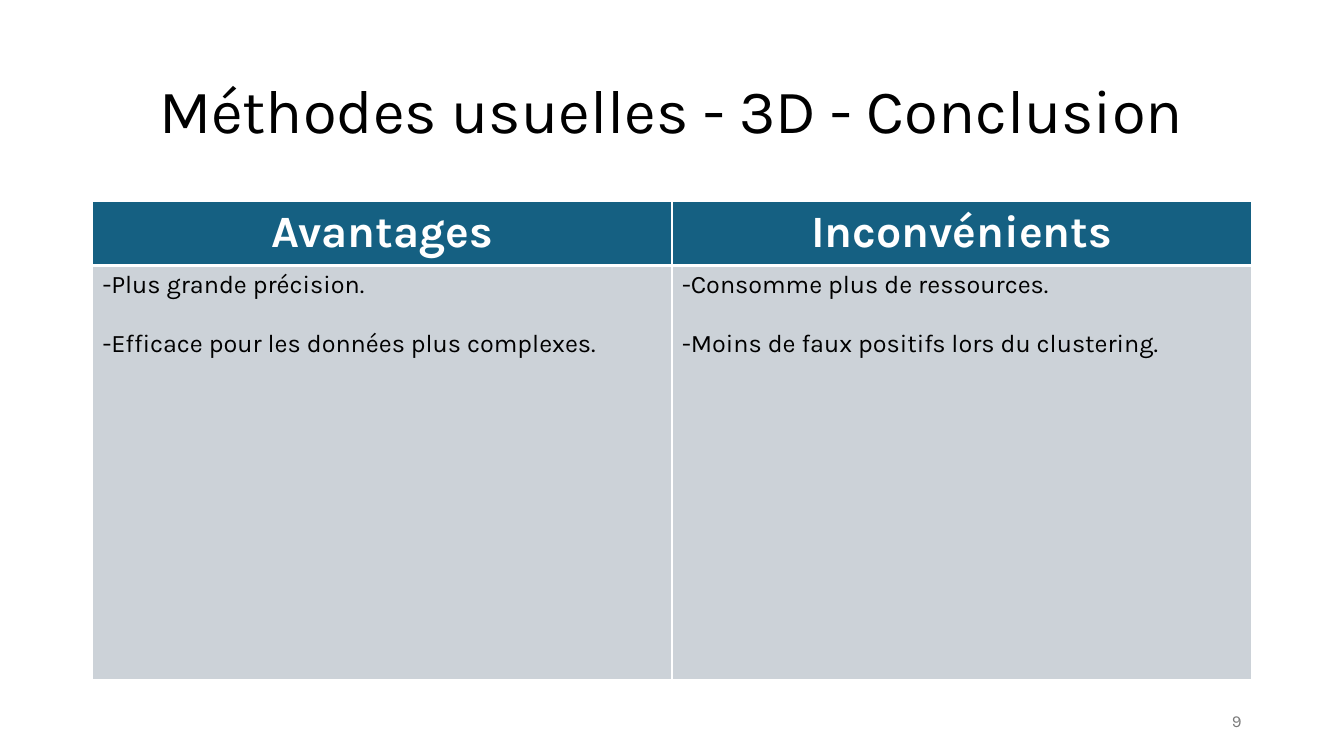
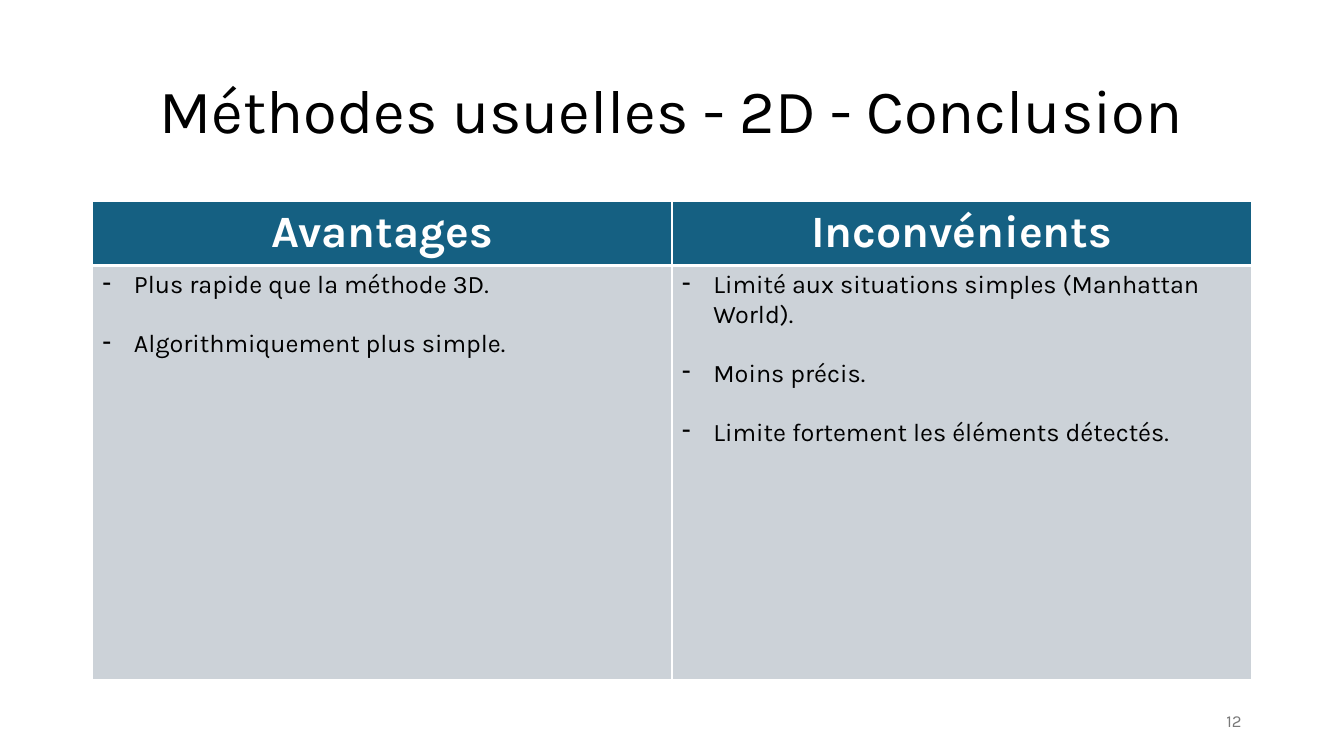
from lxml import etree
from pptx import Presentation
from pptx import util as u
from pptx.dml.color import RGBColor
from pptx.enum import text
from pptx.oxml import ns

COLORS = {"ink": "000000", "paper": "FFFFFF", "header": "156082",
          "body": "CCD2D8", "number": "797979"}
FONT = "Karla"
MARGIN, CONTENT_WIDTH = 2.33, 29.21
TITLE_BOX = (MARGIN, 1.01, CONTENT_WIDTH, 3.68)
TABLE_BOX = (MARGIN, 5.08, CONTENT_WIDTH, 11.99)
NUMBER_BOX = (23.92, 17.65, 7.62, 1.02)
HEADER_HEIGHT = 1.55
HEADINGS = ("Avantages", "Inconvénients")
THIN, THICK = 1, 3

SLIDES = [
    {"title": "Méthodes usuelles - 3D - Conclusion", "number": "9", "bulleted": False,
     "columns": [
         ["-Plus grande précision.",
          "-Efficace pour les données plus complexes."],
         ["-Consomme plus de ressources.",
          "-Moins de faux positifs lors du clustering."]]},
    {"title": "Méthodes usuelles - 2D - Conclusion", "number": "12", "bulleted": True,
     "columns": [
         ["Plus rapide que la méthode 3D.",
          "Algorithmiquement plus simple."],
         ["Limité aux situations simples (Manhattan World).",
          "Moins précis.",
          "Limite fortement les éléments détectés."]]},
]


def rgb(name):
    return RGBColor.from_string(COLORS[name])


def add_run(paragraph, words, size, color, bold=False):
    run = paragraph.add_run()
    run.text = words
    run.font.name = FONT
    run.font.size = u.Pt(size)
    run.font.bold = bold
    run.font.color.rgb = rgb(color)


def add_line(slide, box, words, size, color, align, spacing=1.0):
    frame = slide.shapes.add_textbox(*map(u.Cm, box)).text_frame
    frame.word_wrap = True
    frame.vertical_anchor = text.MSO_ANCHOR.MIDDLE
    paragraph = frame.paragraphs[0]
    paragraph.alignment = align
    paragraph.line_spacing = spacing
    add_run(paragraph, words, size, color)


def set_bullet(paragraph):
    properties = paragraph._p.get_or_add_pPr()
    properties.set("marL", str(u.Cm(0.79)))
    properties.set("indent", str(-u.Cm(0.79)))
    etree.SubElement(properties, ns.qn("a:buChar")).set("char", "-")


def style_cell(cell, fill, top, bottom):
    cell.fill.solid()
    cell.fill.fore_color.rgb = rgb(fill)
    properties = cell._tc.get_or_add_tcPr()
    widths = {"a:lnL": THIN, "a:lnR": THIN, "a:lnT": top, "a:lnB": bottom}
    for position, (side, width) in enumerate(widths.items()):
        border = etree.Element(ns.qn(side), w=str(u.Pt(width)))
        solid = etree.SubElement(border, ns.qn("a:solidFill"))
        etree.SubElement(solid, ns.qn("a:srgbClr")).set("val", COLORS["paper"])
        properties.insert(position, border)


def fill_points(cell, points, bulleted):
    frame = cell.text_frame
    for index, point in enumerate(points):
        paragraph = frame.add_paragraph() if index else frame.paragraphs[0]
        if index:
            paragraph.space_before = u.Pt(21)
        if bulleted:
            set_bullet(paragraph)
        add_run(paragraph, point, 18, "ink")


def add_comparison(slide, box, columns, bulleted):
    left, top, width, height = box
    table = slide.shapes.add_table(2, len(columns), *map(u.Cm, box)).table
    table.rows[0].height = u.Cm(HEADER_HEIGHT)
    table.rows[1].height = u.Cm(height - HEADER_HEIGHT)
    for index, (heading, points) in enumerate(zip(HEADINGS, columns)):
        table.columns[index].width = u.Cm(width / len(columns))
        header, body = table.cell(0, index), table.cell(1, index)
        style_cell(header, "header", THIN, THICK)
        style_cell(body, "body", THICK, THIN)
        paragraph = header.text_frame.paragraphs[0]
        paragraph.alignment = text.PP_ALIGN.CENTER
        add_run(paragraph, heading, 32, "paper", bold=True)
        fill_points(body, points, bulleted)


def add_conclusion(deck, content):
    slide = deck.slides.add_slide(deck.slide_layouts[6])
    add_line(slide, TITLE_BOX, content["title"], 44, "ink", text.PP_ALIGN.CENTER, 0.9)
    add_comparison(slide, TABLE_BOX, content["columns"], content["bulleted"])
    add_line(slide, NUMBER_BOX, content["number"], 12, "number", text.PP_ALIGN.RIGHT)


def main():
    deck = Presentation()
    deck.slide_width, deck.slide_height = u.Cm(33.87), u.Cm(19.05)
    for content in SLIDES:
        add_conclusion(deck, content)
    deck.save("out.pptx")


if __name__ == "__main__":
    main()
